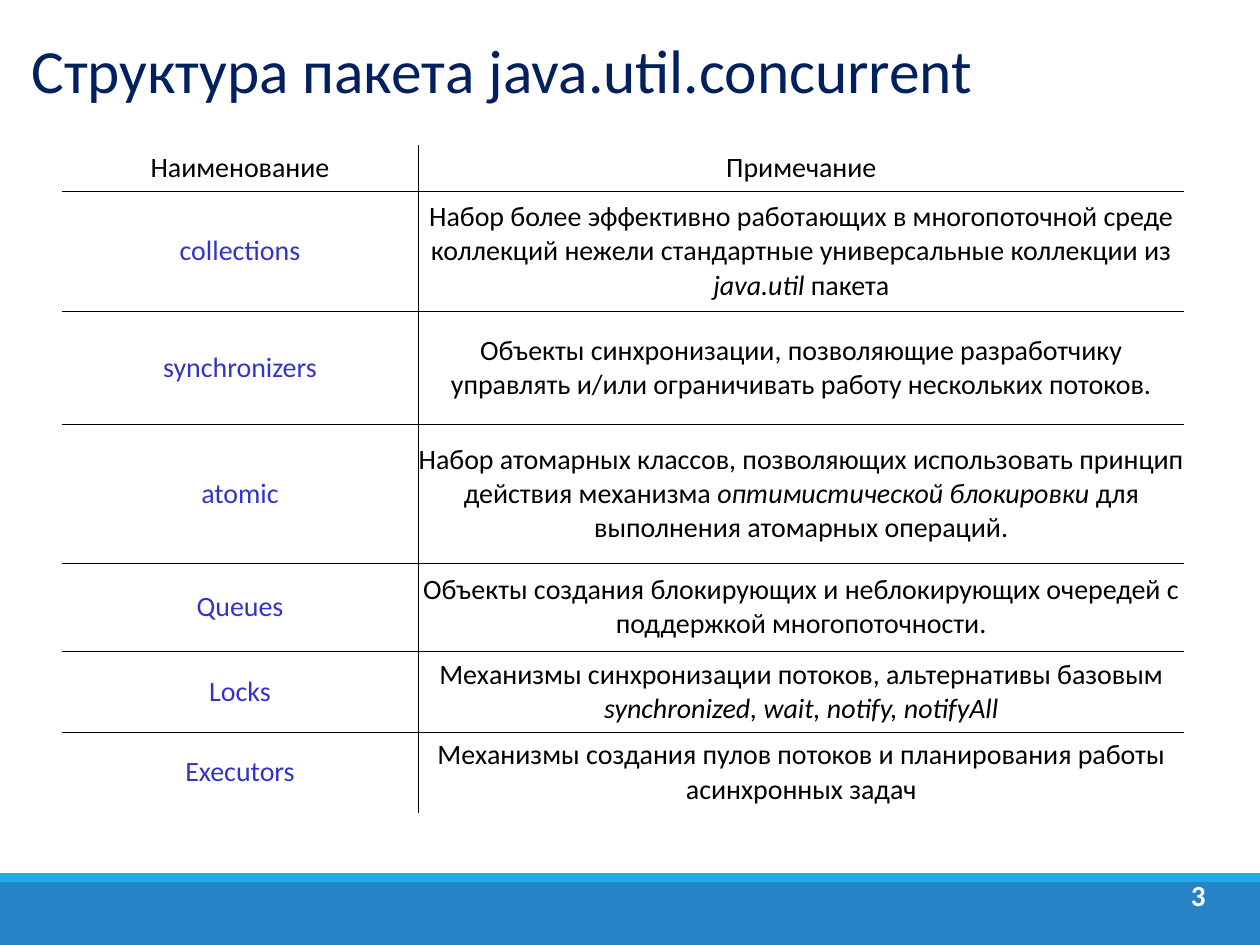
"""Build the slide on the structure of the java.util.concurrent package."""
import pptx
import pptx.dml.color
import pptx.enum.shapes
import pptx.enum.text
import pptx.oxml.ns
import pptx.util
from lxml import etree

Inches, Pt = pptx.util.Inches, pptx.util.Pt
RGBColor = pptx.dml.color.RGBColor
ALIGN = pptx.enum.text.PP_ALIGN
MIDDLE = pptx.enum.text.MSO_ANCHOR.MIDDLE

NAVY = RGBColor(0x00, 0x20, 0x60)
BLUE = RGBColor(0x26, 0x83, 0xC6)
CYAN = RGBColor(0x1C, 0xAD, 0xE4)
VIOLET = RGBColor(0x33, 0x33, 0xCC)
BLACK = RGBColor(0, 0, 0)
WHITE = RGBColor(255, 255, 255)

TITLE = "Структура пакета java.util.concurrent"
NUMBER = "3"
BARS = [(7, 0.5, BLUE), (6.93, 0.07, CYAN)]
COLS = [2.83, 6.08]
ROWS = [
    (0.37, "Наименование", ["Примечание"]),
    (0.95, "collections", [
        "Набор более эффективно работающих в многопоточной среде "
        "коллекций нежели стандартные универсальные коллекции из ",
        "java.util", " пакета"]),
    (0.9, "synchronizers", [
        "Объекты синхронизации, позволяющие разработчику управлять "
        "и/или ограничивать работу нескольких потоков."]),
    (1.1, "atomic", [
        "Набор атомарных классов, позволяющих использовать принцип "
        "действия механизма ", "оптимистической блокировки",
        " для выполнения атомарных операций."]),
    (0.7, "Queues", [
        "Объекты создания блокирующих и неблокирующих очередей "
        "с поддержкой многопоточности."]),
    (0.64, "Locks", [
        "Механизмы синхронизации потоков, альтернативы базовым ",
        "synchronized, wait, notify, notifyAll"]),
    (0.64, "Executors", [
        "Механизмы создания пулов потоков и планирования работы "
        "асинхронных задач"]),
]


def write(frame, parts, size, color, align, bold=False):
    """Write the parts as runs, every second one in italics."""
    para = frame.paragraphs[0]
    para.alignment = align
    for i, part in enumerate(parts):
        run = para.add_run()
        run.text = part
        font = run.font
        font.name, font.size, font.color.rgb = "Calibri", Pt(size), color
        font.bold, font.italic = bold, i % 2 == 1
    return para


def edge(cell, side, drawn):
    """Draw or clear one border of a cell."""
    qn = pptx.oxml.ns.qn
    line = etree.SubElement(cell._tc.get_or_add_tcPr(), qn("a:ln" + side))
    if drawn:
        line.set("w", str(Pt(0.45)))
        fill = etree.SubElement(line, qn("a:solidFill"))
        etree.SubElement(fill, qn("a:srgbClr")).set("val", str(BLACK))
    else:
        etree.SubElement(line, qn("a:noFill"))


def main():
    """Put the parts on the slide and save it."""
    deck = pptx.Presentation()
    deck.slide_width, deck.slide_height = Inches(10), Inches(7.5)
    slide = deck.slides.add_slide(deck.slide_layouts[5])
    shapes = slide.shapes

    title = shapes.title
    title.left, title.top = Inches(0.15), Inches(0.2)
    title.width, title.height = Inches(9.34), Inches(0.77)
    title.text_frame.vertical_anchor = MIDDLE
    title.text_frame.auto_size = pptx.enum.text.MSO_AUTO_SIZE.NONE
    write(title.text_frame, [TITLE], 35.1, NAVY, ALIGN.LEFT).line_spacing = 0.9

    for top, height, color in BARS:
        bar = shapes.add_shape(pptx.enum.shapes.MSO_SHAPE.RECTANGLE,
                               0, Inches(top), Inches(10), Inches(height))
        bar.shadow.inherit = False
        bar.fill.solid()
        bar.fill.fore_color.rgb = color
        bar.line.fill.background()

    box = shapes.add_textbox(Inches(9.27), Inches(6.95), Inches(0.48), Inches(0.4))
    box.text_frame.word_wrap = True
    write(box.text_frame, [NUMBER], 16.6, WHITE, ALIGN.CENTER, True).line_spacing = 0.9

    high = sum(row[0] for row in ROWS)
    table = shapes.add_table(len(ROWS), len(COLS), Inches(0.49), Inches(1.15),
                             Inches(sum(COLS)), Inches(high)).table
    table.first_row = table.horz_banding = False
    for col, width in zip(table.columns, COLS):
        col.width = Inches(width)
    last = len(ROWS) - 1
    for r, (height, name, note) in enumerate(ROWS):
        table.rows[r].height = Inches(height)
        for c, parts in enumerate([[name], note]):
            cell = table.cell(r, c)
            cell.vertical_anchor = MIDDLE
            cell.margin_left = cell.margin_right = 0
            color = VIOLET if r and c == 0 else BLACK
            write(cell.text_frame, parts, 16, color, ALIGN.CENTER)
            sides = {"L": c > 0, "R": c == 0, "T": r > 0, "B": r < last}
            for side, drawn in sides.items():
                edge(cell, side, drawn)
            cell.fill.background()

    deck.save("out.pptx")


if __name__ == "__main__":
    main()
